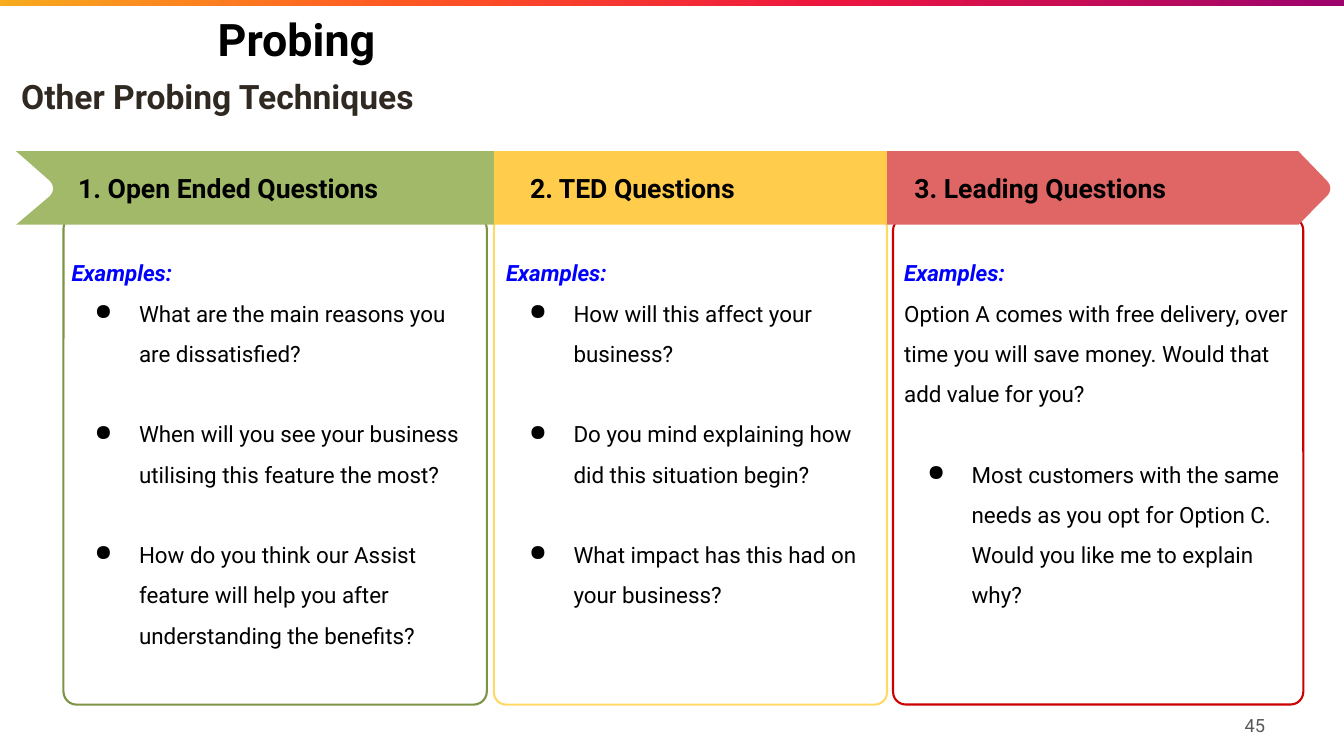
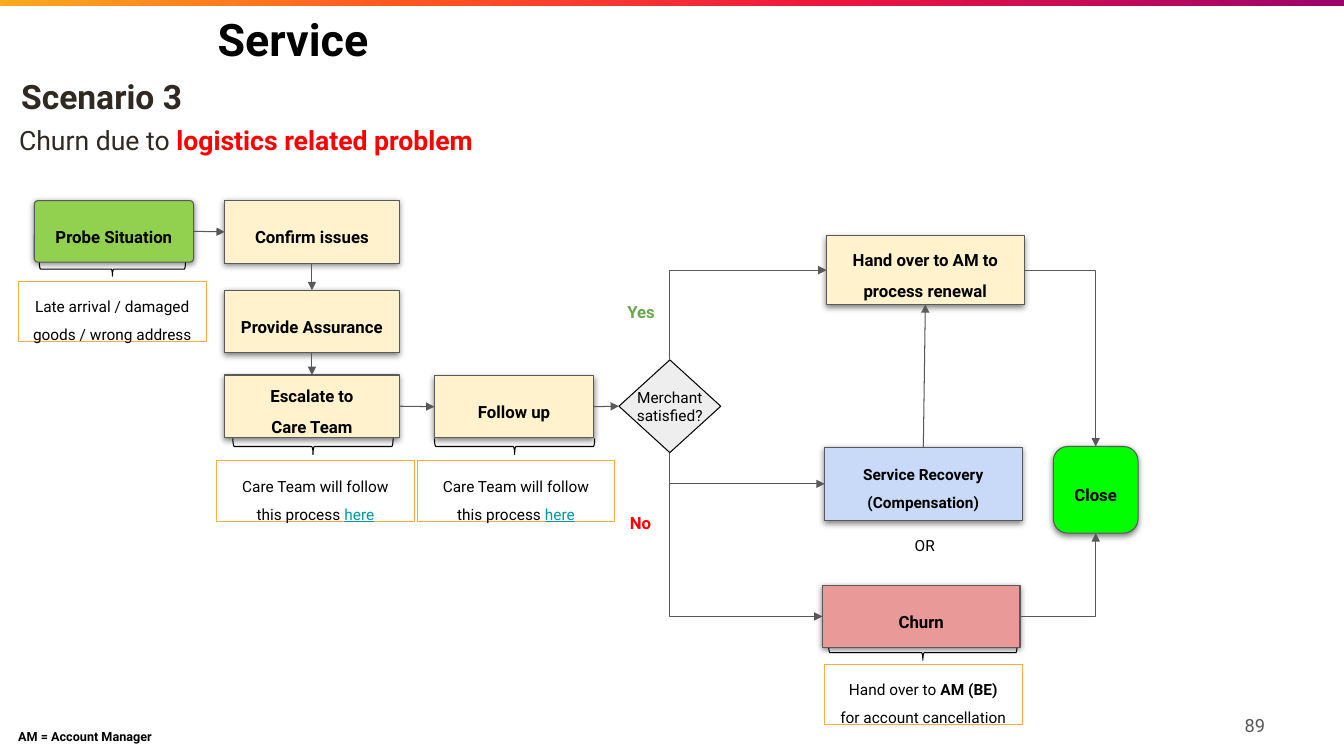
from dataclasses import dataclass

from lxml import etree
from pptx import Presentation
from pptx.dml.color import RGBColor
from pptx.enum.shapes import MSO_CONNECTOR, MSO_SHAPE
from pptx.enum.text import MSO_ANCHOR, PP_ALIGN
from pptx.oxml.ns import qn
from pptx.util import Inches, Pt

RECT, ROUND = MSO_SHAPE.RECTANGLE, MSO_SHAPE.ROUNDED_RECTANGLE
DIAMOND, BRACE = MSO_SHAPE.DIAMOND, MSO_SHAPE.RIGHT_BRACE
STRAIGHT, ELBOW = MSO_CONNECTOR.STRAIGHT, MSO_CONNECTOR.ELBOW
LEFT, CENTER, RIGHT = PP_ALIGN.LEFT, PP_ALIGN.CENTER, PP_ALIGN.RIGHT
TOP, MIDDLE, BOTTOM = MSO_ANCHOR.TOP, MSO_ANCHOR.MIDDLE, MSO_ANCHOR.BOTTOM
AT_TOP, AT_LEFT, AT_BOTTOM, AT_RIGHT = range(4)

COLUMNS, ROWS = 133.33, 75
CELL = Inches(0.1)
BAND_TOP, BAND_BOTTOM = 15, 22.3


@dataclass(frozen=True)
class Theme:
    """Colours and type sizes of the deck."""
    font: str = "Roboto"
    ink: str = "000000"
    heading: str = "2F2922"
    grey: str = "595959"
    white: str = "FFFFFF"
    red: str = "FF0000"
    yes: str = "6AA84F"
    blue: str = "0000FF"
    link: str = "0097A7"
    note: str = "FFAB40"
    cream: str = "FFF2CC"
    probe: str = "92D050"
    recovery: str = "C9DAF8"
    churn: str = "EA9999"
    close: str = "00FF00"
    decision: str = "EEEEEE"
    bar: tuple = ((0, "F7AB1D"), (30, "FF5722"), (62, "EC153F"), (100, "9C036D"))
    title_size: int = 32
    subtitle_size: int = 24
    lead_size: int = 19
    body_size: int = 16
    number_size: int = 13
    step_size: int = 12
    note_size: int = 11
    foot_size: int = 9


THEME = Theme()


def grid(value):
    """Turn grid cells into a length."""
    return round(value * CELL)


def add_xml(parent, tag, **attributes):
    """Append a drawing element and return it."""
    return etree.SubElement(parent, qn(f"a:{tag}"), **attributes)


def write(frame, *spans, size=THEME.body_size, color=THEME.ink, bold=False,
          italic=False, underline=False, align=LEFT, spacing=None, before=0,
          bullet=False):
    """Write one paragraph; a span is text or text with its own format."""
    para = frame.paragraphs[0]
    if para.runs:
        para = frame.add_paragraph()
    para.alignment = align
    if bullet:
        properties = para._p.get_or_add_pPr()
        properties.set("marL", str(grid(6.7)))
        properties.set("indent", str(grid(-4.4)))
        add_xml(add_xml(properties, "buClr"), "srgbClr", val=color)
        add_xml(properties, "buChar", char="●")
    if spacing:
        para.line_spacing = spacing
    if before:
        para.space_before = Pt(before)
    base = dict(size=size, color=color, bold=bold, italic=italic, underline=underline)
    for span in spans:
        text, changes = (span, {}) if isinstance(span, str) else span
        look = base | changes
        run = para.add_run()
        run.text = text
        run.font.name = THEME.font
        run.font.size = Pt(look["size"])
        run.font.bold, run.font.italic = look["bold"], look["italic"]
        run.font.underline = look["underline"]
        run.font.color.rgb = RGBColor.from_string(look["color"])


def rounded_tip(x, top, bottom, bulge=0.5, steps=8):
    """Return points on the rounded point of an arrow."""
    points = []
    for step in range(steps + 1):
        t = step / steps
        u = 1 - t
        points.append((x + 3 * u * t * bulge,
                       top * u**3 + 3 * (top + bulge) * u * u * t
                       + 3 * (bottom - bulge) * u * t * t + bottom * t**3))
    return points


class Deck:
    """Hold the presentation, its style and the current slide."""

    def __init__(self, theme):
        """Start an empty deck."""
        self.theme = theme
        self.file = Presentation()
        self.file.slide_width = grid(COLUMNS)
        self.file.slide_height = grid(ROWS)
        self.page = None

    def add_page(self, title, subtitle, number):
        """Add a slide with the shared bar, titles and number."""
        theme = self.theme
        self.page = self.file.slides.add_slide(self.file.slide_layouts[6])
        bar = self.shape(RECT, (0, 0, COLUMNS, 0.6))
        bar.fill.gradient()
        bar.fill.gradient_angle = 315
        stops = bar.element.spPr.find(qn("a:gradFill")).find(qn("a:gsLst"))
        for stop in list(stops):
            stops.remove(stop)
        for position, color in theme.bar:
            stop = add_xml(stops, "gs", pos=str(position * 1000))
            add_xml(stop, "srgbClr", val=color)
        self.text((21.3, 0, 84.6, 7.7), title, size=theme.title_size, bold=True)
        self.text((1.8, 7.5, 105, 4), subtitle, size=theme.subtitle_size,
                  color=theme.heading, bold=True)
        self.text((118.8, 69.1, 8, 5.7), str(number), inset=(1.3, 1.3),
                  size=theme.number_size, color=theme.grey, align=RIGHT)

    def frame(self, box, anchor=MIDDLE, inset=(0.3, 0.3), wrap=True):
        """Prepare the text frame of a box."""
        frame = box.text_frame
        frame.word_wrap = wrap
        frame.vertical_anchor = anchor
        frame.margin_left = frame.margin_right = grid(inset[0])
        frame.margin_top = frame.margin_bottom = grid(inset[1])
        return frame

    def text(self, at, *spans, anchor=MIDDLE, inset=(0.3, 0.3), **style):
        """Add a text box and return its frame."""
        box = self.page.shapes.add_textbox(*map(grid, at))
        frame = self.frame(box, anchor, inset)
        if spans:
            write(frame, *spans, **style)
        return frame

    def paint(self, shape, fill=None, line=None, width=0.75):
        """Set the fill and outline of a shape."""
        shape.shadow.inherit = False
        if fill:
            shape.fill.solid()
            shape.fill.fore_color.rgb = RGBColor.from_string(fill)
        else:
            shape.fill.background()
        if line:
            shape.line.color.rgb = RGBColor.from_string(line)
            shape.line.width = Pt(width)
        else:
            shape.line.fill.background()
        return shape

    def shape(self, kind, at, fill=None, line=None, width=0.75, corner=None):
        """Add a preset shape."""
        shape = self.page.shapes.add_shape(kind, *map(grid, at))
        if corner is not None:
            shape.adjustments[0] = corner
        return self.paint(shape, fill, line, width)

    def outline(self, points, fill):
        """Add a closed freeform."""
        start, *others = [(grid(x), grid(y)) for x, y in points]
        builder = self.page.shapes.build_freeform(*start)
        builder.add_line_segments(others, close=True)
        return self.paint(builder.convert_to_shape(), fill)

    def step(self, at, text, fill, corner=None, size=THEME.step_size):
        """Add a shadowed flow step."""
        box = self.shape(RECT if corner is None else ROUND, at, fill,
                         self.theme.grey, corner=corner)
        effects = box.element.spPr.find(qn("a:effectLst"))
        shadow = add_xml(effects, "outerShdw", blurRad=str(Pt(4.5)),
                         dist=str(Pt(1.5)), dir="5400000", algn="bl", rotWithShape="0")
        add_xml(add_xml(shadow, "srgbClr", val=self.theme.ink), "alpha", val="50000")
        frame = self.frame(box, inset=(1.3, 1.3))
        for line in text.split("\n"):
            write(frame, line, size=size, bold=True, align=CENTER, spacing=1.5)
        return box

    def note(self, at, brace_at, *spans):
        """Add an outlined note under a brace."""
        left, top, width, height = brace_at
        middle, center = left + width / 2, top + height / 2
        brace = self.shape(BRACE, (middle - height / 2, center - width / 2, height, width),
                           line=self.theme.ink)
        brace.rotation = 90
        box = self.shape(RECT, at, line=self.theme.note)
        write(self.frame(box, TOP, (1.3, 0.7)), *spans, size=self.theme.note_size,
              align=CENTER, spacing=1.5)

    def arrow(self, start, start_side, end, end_side):
        """Join two shapes by a straight or one-bend arrow."""
        bent = start_side % 2 != end_side % 2
        link = self.page.shapes.add_connector(ELBOW if bent else STRAIGHT, 0, 0, 0, 0)
        link.begin_connect(start, start_side)
        link.end_connect(end, end_side)
        link.line.color.rgb = RGBColor.from_string(self.theme.grey)
        link.line.width = Pt(0.75)
        outline = link.element.spPr
        add_xml(outline.find(qn("a:ln")), "tailEnd", type="triangle")
        add_xml(outline, "effectLst")
        if bent:
            outline.find(qn("a:prstGeom")).set("prst", "bentConnector2")
        if bent and start_side in (AT_TOP, AT_BOTTOM):
            left, top, width, height = link.left, link.top, link.width, link.height
            link.left = left + (width - height) // 2
            link.top = top + (height - width) // 2
            link.width, link.height = height, width
            transform = outline.find(qn("a:xfrm"))
            transform.attrib.pop("flipV", None)
            transform.set("rot", "16200000")
            transform.set("flipH", "1" if start_side == AT_BOTTOM else "0")


def add_probing(deck):
    """Build the three columns of probing techniques."""
    theme = deck.theme
    deck.add_page("Probing", "Other Probing Techniques", 45)
    columns = (
        ("1. Open Ended Questions", (5, 35.3), (6.3, 21.4, 42, 48.5), "7D9445", (7.1, 39.7), None,
         ("What are the main reasons you are dissatisfied?",
          "When will you see your business utilising this feature the most?",
          "How do you think our Assist feature will help you after understanding the benefits?")),
        ("2. TED Questions", (49.1, 27.3), (49, 21.4, 39, 48.5), "FFD966", (50.2, 36.5), None,
         ("How will this affect your business?",
          "Do you mind explaining how did this situation begin?",
          "What impact has this had on your business?")),
        ("3. Leading Questions", (85.1, 36.2), (88.6, 21.6, 40.7, 48.3), "CC0000", (89.7, 38.6),
         "Option A comes with free delivery, over time you will save money. "
         "Would that add value for you?",
         ("Most customers with the same needs as you opt for Option C. "
          "Would you like me to explain why?",)),
    )
    for _, _, card, line, _, _, _ in columns:
        deck.shape(ROUND, card, theme.white, line, 1.5, corner=0.031)
    deck.outline([(1.6, BAND_TOP), *rounded_tip(4.9, 17.9, 19.5), (1.6, BAND_BOTTOM),
                  (49, BAND_BOTTOM), (49, BAND_TOP)], "A2B969")
    deck.shape(RECT, (49, BAND_TOP, 39, BAND_BOTTOM - BAND_TOP), "FFCC4C")
    deck.outline([(88, BAND_TOP), (128.8, BAND_TOP), *rounded_tip(131.6, 17.9, 19.5),
                  (128.8, BAND_BOTTOM), (88, BAND_BOTTOM)], "E06666")
    for heading, (left, width), _, _, (body_left, body_width), intro, questions in columns:
        deck.text((left, 16.4, width, 4.5), heading, anchor=BOTTOM, inset=(0, 0.7),
                  size=theme.lead_size, bold=True, align=CENTER)
        frame = deck.text((body_left, 23.7, body_width, 40.4), "Examples:", anchor=TOP,
                          inset=(0, 0.7), color=theme.blue, bold=True, italic=True, spacing=1.5)
        if intro:
            write(frame, intro, spacing=1.5)
        for index, question in enumerate(questions):
            write(frame, question, spacing=1.5, bullet=True,
                  before=28.75 if index or intro else 0)


def add_service(deck):
    """Build the churn flow."""
    theme = deck.theme
    deck.add_page("Service", "Scenario 3", 89)
    deck.text((1.6, 11.9, 114.5, 4), "Churn due to",
              (" logistics related problem", dict(color=theme.red, bold=True)),
              size=theme.lead_size, color=theme.heading)
    deck.note((1.8, 27.9, 18.7, 6), (3.9, 26, 14.5, 1.4),
              "Late arrival / damaged goods / wrong address")
    here = ("here", dict(color=theme.link, underline=True))
    for left, brace_left in ((21.5, 23.1), (41.4, 43.1)):
        deck.note((left, 45.7, 19.6, 6), (brace_left, 43.5, 15.9, 1.6),
                  "Care Team will follow this process ", here)
    deck.note((81.8, 65.9, 19.6, 6), (82.2, 64, 18.7, 1.5), "Hand over to ",
              ("AM (BE)", dict(bold=True)), " for account cancellation")

    probe = deck.step((3.4, 19.9, 15.8, 6.1), "Probe Situation", theme.probe, 0.06)
    confirm, assure, escalate = [
        deck.step((22.3, top, 17.3, 6.2), text, theme.cream)
        for top, text in ((19.9, "Confirm issues"), (28.8, "Provide Assurance"),
                          (37.2, "Escalate to\nCare Team"))]
    follow = deck.step((43.1, 37.3, 15.8, 6.1), "Follow up", theme.cream)
    handover = deck.step((82, 23.4, 19.6, 6.8), "Hand over to AM to process renewal", theme.cream)
    recovery = deck.step((81.8, 44.4, 19.6, 7.2), "Service Recovery\n(Compensation)",
                         theme.recovery, size=theme.note_size)
    churn = deck.step((81.6, 58.1, 19.6, 6.1), "Churn", theme.churn)
    close = deck.step((104.5, 44.3, 8.4, 8.6), "Close", theme.close, 0.17)
    satisfied = deck.shape(DIAMOND, (61.4, 35.7, 10.1, 9.2), theme.decision, theme.ink)
    frame = deck.frame(satisfied, inset=(0, 0), wrap=False)
    for line in ("Merchant", "satisfied?"):
        write(frame, line, size=theme.note_size, align=CENTER)

    for link in (
        (probe, AT_RIGHT, confirm, AT_LEFT),
        (confirm, AT_BOTTOM, assure, AT_TOP),
        (assure, AT_BOTTOM, escalate, AT_TOP),
        (escalate, AT_RIGHT, follow, AT_LEFT),
        (follow, AT_RIGHT, satisfied, AT_LEFT),
        (satisfied, AT_TOP, handover, AT_LEFT),
        (satisfied, AT_BOTTOM, recovery, AT_LEFT),
        (satisfied, AT_BOTTOM, churn, AT_LEFT),
        (recovery, AT_TOP, handover, AT_BOTTOM),
        (handover, AT_RIGHT, close, AT_TOP),
        (churn, AT_RIGHT, close, AT_BOTTOM),
    ):
        deck.arrow(*link)
    for at, text, color, size, bold in (
        ((60.8, 28.9, 5.6, 4.7), "Yes", theme.yes, theme.step_size, True),
        ((60.7, 49.9, 5.7, 4.7), "No", theme.red, theme.step_size, True),
        ((85.1, 52.3, 13.3, 4.5), "OR", theme.ink, theme.note_size, False),
    ):
        deck.text(at, text, anchor=TOP, inset=(0, 1.3), color=color, size=size,
                  bold=bold, align=CENTER)
    deck.text((0, 71.2, 56.2, 3.8), "AM = Account Manager", inset=(1.8, 0),
              size=theme.foot_size, bold=True)


def main():
    """Build and save the deck."""
    deck = Deck(THEME)
    add_probing(deck)
    add_service(deck)
    deck.file.save("out.pptx")


if __name__ == "__main__":
    main()
